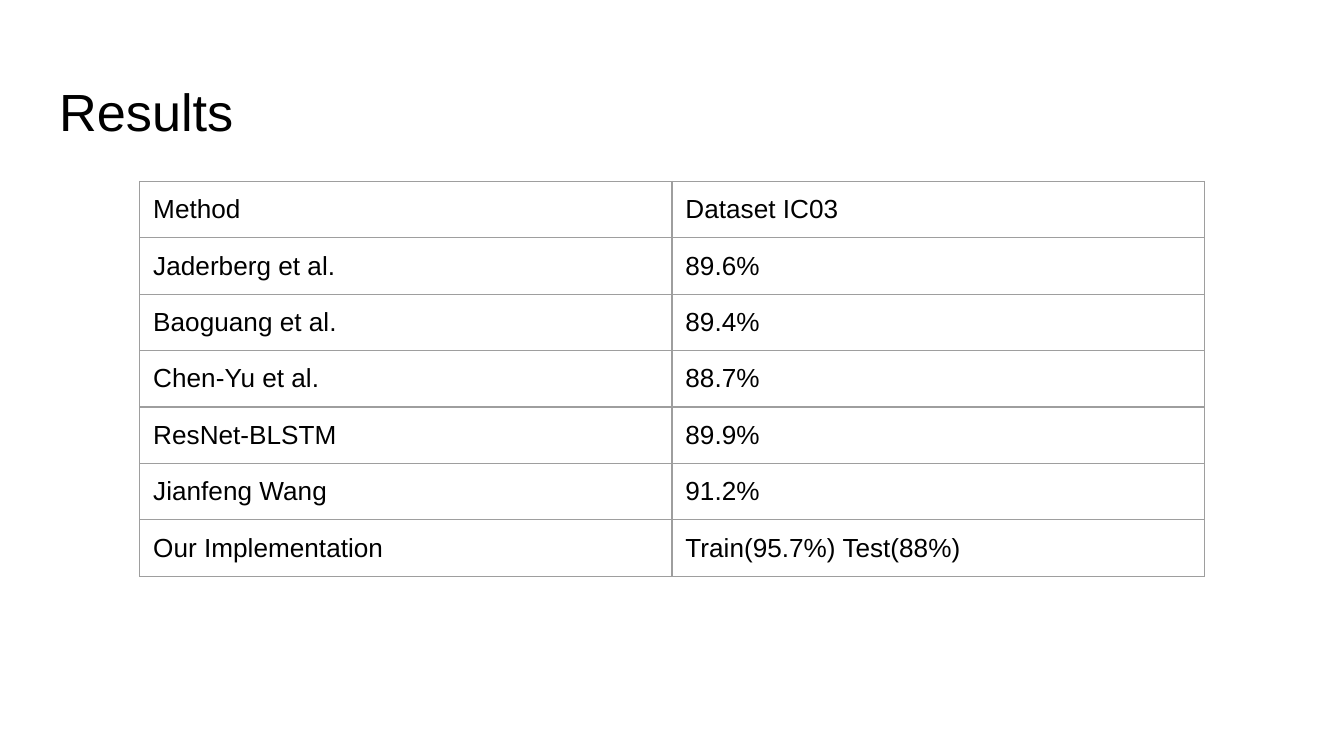
from lxml.etree import SubElement
from pptx import Presentation
from pptx.dml.color import RGBColor
from pptx.enum.text import MSO_ANCHOR, MSO_AUTO_SIZE, PP_ALIGN
from pptx.oxml.ns import qn
from pptx.util import Inches, Pt

BLACK = RGBColor(0x00, 0x00, 0x00)
GRAY = RGBColor(0x9E, 0x9E, 0x9E)
FONT = "Arial"
ROWS = [
    ("Method", "Dataset IC03"),
    ("Jaderberg et al.", "89.6%"),
    ("Baoguang et al.", "89.4%"),
    ("Chen-Yu et al.", "88.7%"),
    ("ResNet-BLSTM", "89.9%"),
    ("Jianfeng Wang", "91.2%"),
    ("Our Implementation", "Train(95.7%) Test(88%)"),
]
COL_W, ROW_H = 3.96, 0.42


def set_font(p, size):
    p.font.name = FONT
    p.font.size = Pt(size)
    p.font.bold = False
    p.font.color.rgb = BLACK


def add_borders(cell):
    tc_pr = cell._tc.get_or_add_tcPr()
    for i, side in enumerate(("lnL", "lnR", "lnT", "lnB")):
        ln = tc_pr.makeelement(qn(f"a:{side}"), {"w": str(Pt(0.75))})
        fill = SubElement(ln, qn("a:solidFill"))
        SubElement(fill, qn("a:srgbClr"), val=str(GRAY))
        tc_pr.insert(i, ln)  # borders come before the fill


# 16:9 slide
prs = Presentation()
prs.slide_width, prs.slide_height = Inches(10), Inches(10 * 9 / 16)
s = prs.slides.add_slide(prs.slide_layouts[5])

# Title
title = s.shapes.title
title.left, title.top = Inches(0.34), Inches(0.49)
title.width, title.height = Inches(9.32), Inches(0.63)
tf = title.text_frame
tf.text = "Results"
tf.auto_size = MSO_AUTO_SIZE.NONE
tf.vertical_anchor = MSO_ANCHOR.TOP
tf.margin_left = tf.margin_right = Inches(0.1)
tf.margin_top = tf.margin_bottom = Inches(0.1)
p = tf.paragraphs[0]
p.alignment = PP_ALIGN.LEFT
set_font(p, 28)

# Results table
table = s.shapes.add_table(
    len(ROWS), 2, Inches(1.04), Inches(1.35),
    Inches(2 * COL_W), Inches(len(ROWS) * ROW_H)).table
table.first_row = table.horz_banding = False
for col in table.columns:
    col.width = Inches(COL_W)
for row, texts in zip(table.rows, ROWS):
    row.height = Inches(ROW_H)
    for cell, text in zip(row.cells, texts):
        cell.text = text
        cell.fill.background()
        cell.margin_left = cell.margin_right = Inches(0.1)
        cell.margin_top = cell.margin_bottom = Inches(0.1)
        set_font(cell.text_frame.paragraphs[0], 14)
        add_borders(cell)

prs.save("out.pptx")
